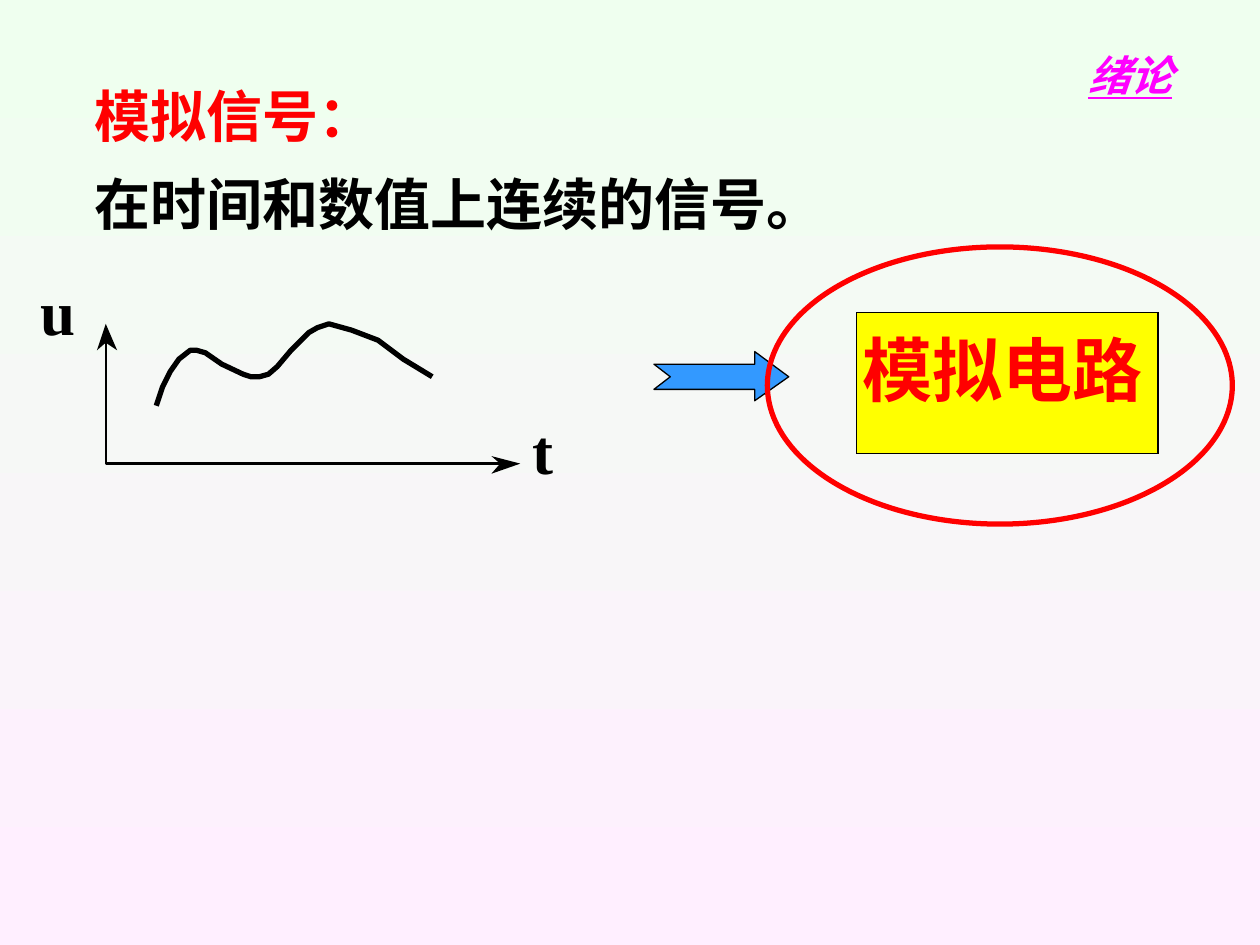
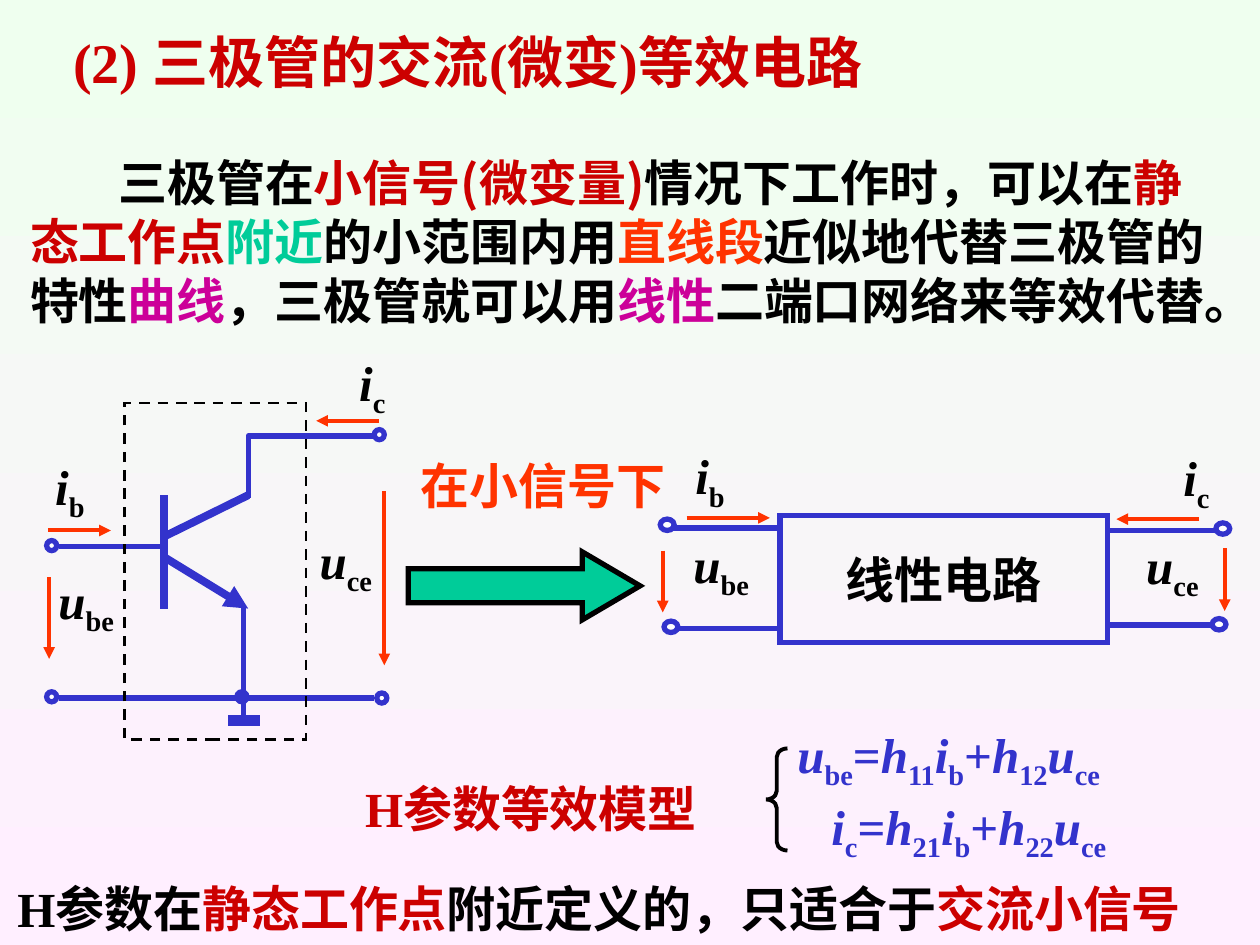
from dataclasses import dataclass
from typing import Optional

from lxml.etree import SubElement
from pptx import Presentation
from pptx.dml.color import RGBColor
from pptx.enum.dml import MSO_LINE
from pptx.enum.shapes import MSO_CONNECTOR, MSO_SHAPE
from pptx.enum.text import MSO_ANCHOR, MSO_AUTO_SIZE, PP_ALIGN
from pptx.oxml.ns import qn
from pptx.shapes.autoshape import Shape
from pptx.slide import Slide
from pptx.util import Inches, Pt


@dataclass(frozen=True)
class Theme:
    top: str = "EFFFEF"
    base: str = "FFEFFF"
    black: str = "000000"
    white: str = "FFFFFF"
    red: str = "FF0000"
    crimson: str = "CC0000"
    orange: str = "FF3300"
    violet: str = "CC0099"
    magenta: str = "FF00FF"
    blue: str = "3333CC"
    sky: str = "3399FF"
    green: str = "00CC99"
    yellow: str = "FFFF00"
    latin: str = "Times New Roman"
    asian: str = "Noto Sans CJK SC"
    small: int = 24
    text: int = 28
    title: int = 32
    axis: int = 36
    large: int = 40


T = Theme()
Point = tuple[float, float]
Box = tuple[float, float, float, float]


@dataclass(frozen=True)
class Run:
    text: str
    color: Optional[str] = None
    slant: bool = False
    sub: bool = False


@dataclass(frozen=True)
class Label:
    box: Box
    paras: tuple[tuple[Run, ...], ...]
    color: str = T.black
    size: int = T.text
    font: str = T.latin
    align: PP_ALIGN = PP_ALIGN.LEFT
    middle: bool = False
    wrap: bool = True
    grow: bool = True
    spacing: float = 1.0
    before: int = 0
    indent: float = 0
    under: bool = False


@dataclass(frozen=True)
class Wire:
    start: Point
    end: Point
    color: str = T.blue
    width: float = 3
    arrow: bool = False


@dataclass(frozen=True)
class Look:
    fill: Optional[str] = None
    line: Optional[str] = None
    width: float = 3


def rgb(code: str) -> RGBColor:
    return RGBColor.from_string(code)


def inch(values: tuple) -> list:
    return [Inches(v) for v in values]


def plain(text: str) -> tuple[tuple[Run, ...], ...]:
    return ((Run(text),),)


def math(tokens: str) -> tuple[tuple[Run, ...], ...]:
    """Variables slant, operators stand upright, other tokens are subscripts."""
    return (tuple(Run(t, slant=t in "uih", sub=t not in "uih=+")
                  for t in tokens.split()),)


def write(shape: Shape, label: Label) -> None:
    frame = shape.text_frame
    frame.word_wrap = label.wrap
    frame.vertical_anchor = MSO_ANCHOR.MIDDLE if label.middle else MSO_ANCHOR.TOP
    frame.auto_size = (MSO_AUTO_SIZE.SHAPE_TO_FIT_TEXT if label.grow
                       else MSO_AUTO_SIZE.NONE)
    for index, runs in enumerate(label.paras):
        para = frame.add_paragraph() if index else frame.paragraphs[0]
        para.alignment = label.align
        para.line_spacing = label.spacing
        if index:
            para.space_before = Pt(label.before)
        if label.indent:
            para._p.get_or_add_pPr().set("indent", str(Inches(label.indent)))
        font = para.font
        font.name, font.size, font.bold = label.font, Pt(label.size), True
        font.color.rgb = rgb(label.color)
        if label.under:
            font.italic = font.underline = True
        props = para._p.pPr.find(qn("a:defRPr"))
        SubElement(props, qn("a:ea"), typeface=T.asian)
        for part in runs:
            run = para.add_run()
            run.text = part.text
            if part.color:
                run.font.color.rgb = rgb(part.color)
            if part.slant:
                run.font.italic = True
            if part.sub:
                run._r.get_or_add_rPr().set("baseline", "-25000")


def add_label(slide: Slide, label: Label) -> None:
    write(slide.shapes.add_textbox(*inch(label.box)), label)


def add_sign(slide: Slide, box: Box, tokens: str) -> None:
    """Place a circuit quantity such as u with subscript be."""
    add_label(slide, Label(box, math(tokens), align=PP_ALIGN.CENTER,
                           middle=True, wrap=False))


def style(shape: Shape, look: Look) -> Shape:
    shape.shadow.inherit = False
    if look.fill:
        shape.fill.solid()
        shape.fill.fore_color.rgb = rgb(look.fill)
    else:
        shape.fill.background()
    if look.line:
        shape.line.color.rgb = rgb(look.line)
        shape.line.width = Pt(look.width)
    else:
        shape.line.fill.background()
    return shape


def add_form(slide: Slide, kind: MSO_SHAPE, box: Box, look: Look) -> Shape:
    """Draw a preset shape with sharp corners."""
    shape = style(slide.shapes.add_shape(kind, *inch(box)), look)
    SubElement(shape.line._get_or_add_ln(), qn("a:miter"), lim="800000")
    return shape


def add_path(slide: Slide, points: list[Point], look: Look,
             close: bool = False) -> None:
    first, *rest = [tuple(inch(p)) for p in points]
    pen = slide.shapes.build_freeform(*first)
    pen.add_line_segments(rest, close=close)
    style(pen.convert_to_shape(), look)


def add_wire(slide: Slide, wire: Wire) -> None:
    line = slide.shapes.add_connector(MSO_CONNECTOR.STRAIGHT,
                                      *inch(wire.start + wire.end))
    line.line.color.rgb = rgb(wire.color)
    line.line.width = Pt(wire.width)
    if wire.arrow:
        SubElement(line.line._get_or_add_ln(), qn("a:tailEnd"), type="triangle")
    SubElement(line._element.spPr, qn("a:effectLst"))


def add_flow(slide: Slide, start: Point, end: Point) -> None:
    """Draw the arrow of a current or a voltage."""
    add_wire(slide, Wire(start, end, T.orange, 2.25, True))


def add_node(slide: Slide, spot: Point, size: Point, fill: str = T.white) -> None:
    add_form(slide, MSO_SHAPE.OVAL, spot + size, Look(fill, T.blue))


def new_slide(deck: Presentation) -> Slide:
    slide = deck.slides.add_slide(deck.slide_layouts[6])
    fill = slide.background.fill
    fill.gradient()
    fill.gradient_angle = 270
    for stop, color, place in zip(fill.gradient_stops, (T.top, T.base), (0, 1)):
        stop.color.rgb = rgb(color)
        stop.position = place
    return slide


def draw_signal(slide: Slide) -> None:
    add_label(slide, Label((8.54, 0.21, 1.19, 0.77), plain("绪论"), T.magenta,
                           T.small, middle=True, grow=False, under=True))
    add_label(slide, Label((0.65, 0.6, 6.69, 1.34),
                           ((Run("模拟信号：", T.red),),
                            (Run("在时间和数值上连续的信号。"),)),
                           size=T.title, before=12))
    curve = [(1.24, 3.22), (1.29, 3.07), (1.35, 2.95), (1.42, 2.85), (1.51, 2.78),
             (1.56, 2.78), (1.63, 2.8), (1.76, 2.89), (1.93, 2.97), (1.99, 2.99),
             (2.06, 2.99), (2.13, 2.97), (2.2, 2.91), (2.31, 2.78), (2.45, 2.64),
             (2.52, 2.6), (2.61, 2.57), (2.79, 2.62), (3, 2.7), (3.2, 2.85),
             (3.43, 2.99)]
    add_path(slide, curve, Look(line=T.black))
    add_path(slide, [(0.84, 2.68), (0.84, 3.68), (4.02, 3.68)],
             Look(line=T.black, width=1.5))
    for tip in ([(0.93, 2.78), (0.84, 2.57), (0.77, 2.78), (0.84, 2.72)],
                [(3.9, 3.76), (4.13, 3.68), (3.9, 3.62), (3.97, 3.68)]):
        add_path(slide, tip, Look(T.black), close=True)
    for name, box in (("t", (4.13, 3.48, 0.68, 0.4)), ("u", (0.22, 2.37, 0.96, 0.4))):
        add_label(slide, Label(box, plain(name), size=T.axis, spacing=0.5))
    add_form(slide, MSO_SHAPE.RECTANGLE, (6.8, 2.48, 2.39, 1.12),
             Look(T.yellow, T.black, 0.75))
    add_label(slide, Label((6.75, 2.83, 2.55, 0.44), plain("模拟电路"), T.red,
                           T.large, spacing=0.5))
    arrow = [(5.19, 2.89), (5.99, 2.89), (5.99, 2.79), (6.26, 2.99),
             (5.99, 3.18), (5.99, 3.09), (5.19, 3.09), (5.32, 2.99)]
    add_path(slide, arrow, Look(T.sky, T.black, 0.75), close=True)
    add_form(slide, MSO_SHAPE.OVAL, (6.09, 1.96, 3.69, 2.2), Look(line=T.red))


def draw_diode(slide: Slide) -> None:
    """Draw the transistor with its terminals, currents and voltages."""
    for wire in (Wire((1.3, 3.93), (1.3, 4.83), width=4.5),
                 Wire((1.3, 4.42), (1.97, 4.83), width=4.5, arrow=True),
                 Wire((1.3, 4.26), (1.97, 3.93), width=4.5),
                 Wire((1.3, 4.34), (0.47, 4.34)),
                 Wire((0.47, 5.54), (2.97, 5.54)),
                 Wire((1.81, 5.72), (2.06, 5.72), width=6),
                 Wire((1.93, 4.81), (1.93, 5.69))):
        add_wire(slide, wire)
    add_path(slide, [(1.97, 3.95), (1.97, 3.46), (2.97, 3.46)], Look(line=T.blue))
    for spot in ((0.37, 4.29), (2.99, 5.5), (2.97, 3.41), (0.37, 5.49)):
        add_node(slide, spot, (0.08, 0.08))
    add_node(slide, (1.88, 5.49), (0.08, 0.08), T.blue)
    for start, end in (((0.39, 4.58), (0.39, 5.23)), ((3.05, 3.9), (3.05, 5.28)),
                       ((0.38, 4.21), (0.88, 4.21)), ((3.01, 3.34), (2.51, 3.34))):
        add_flow(slide, start, end)
    for box, tokens in (((2.57, 2.75, 0.77, 0.63), "i c"),
                        ((2.41, 4.16, 0.67, 0.63), "u ce"),
                        ((0.35, 4.48, 0.67, 0.63), "u be"),
                        ((0.34, 3.57, 0.43, 0.63), "i b")):
        add_sign(slide, box, tokens)
    frame = add_form(slide, MSO_SHAPE.RECTANGLE, (0.99, 3.2, 1.44, 2.67),
                     Look(line=T.black, width=1.5))
    frame.line.dash_style = MSO_LINE.DASH


def draw_port(slide: Slide) -> None:
    """Draw the linear two-port that stands in for the transistor."""
    box = (6.19, 4.09, 2.6, 1.01)
    block = add_form(slide, MSO_SHAPE.RECTANGLE, box, Look(line=T.blue))
    write(block, Label(box, plain("线性电路"), align=PP_ALIGN.CENTER,
                       middle=True, wrap=False, grow=False))
    for x, y in ((5.34, 4.19), (5.34, 4.99), (8.79, 4.21), (8.81, 4.96)):
        add_wire(slide, Wire((x, y), (x + 0.85, y)))
    for spot in ((5.24, 4.12), (5.27, 4.93), (9.62, 4.91), (9.65, 4.15)):
        add_node(slide, spot, (0.11, 0.09))
    for start, end in (((5.26, 4.37), (5.26, 4.86)), ((9.72, 4.35), (9.72, 4.85)),
                       ((5.45, 4.11), (6.11, 4.11)), ((9.52, 4.12), (8.86, 4.12))):
        add_flow(slide, start, end)
    for box, tokens in (((5.31, 4.19, 0.83, 0.63), "u be"),
                        ((8.97, 4.2, 0.67, 0.63), "u ce"),
                        ((5.42, 3.49, 0.43, 0.63), "i b"),
                        ((8.99, 3.5, 1.01, 0.63), "i c")):
        add_sign(slide, box, tokens)


def draw_model(slide: Slide) -> None:
    story = (Run("三极管在"), Run("小信号(微变量)", T.crimson),
             Run("情况下工作时，可以在"), Run("静态工作点", T.crimson),
             Run("附近", T.green), Run("的小范围内用"), Run("直线段", T.orange),
             Run("近似地代替三极管的特性"), Run("曲线", T.violet),
             Run("，三极管就可以用"), Run("线性", T.violet),
             Run("二端口网络来等效代替。"))
    add_label(slide, Label((0.14, 0.93, 9.71, 1.97), (story,), font=T.asian,
                           middle=True, indent=0.7))
    add_label(slide, Label((0.17, 0.17, 7.09, 0.64),
                           plain("(2) 三极管的交流(微变)等效电路"), T.crimson,
                           T.title, align=PP_ALIGN.CENTER))
    draw_diode(slide)
    for box, tokens in (((6.23, 5.7, 3.1, 0.63), "u be = h 11 i b + h 12 u ce"),
                        ((6.5, 6.27, 3.05, 0.63), "i c = h 21 i b + h 22 u ce")):
        add_label(slide, Label(box, math(tokens), T.blue))
    brace = add_form(slide, MSO_SHAPE.LEFT_BRACE, (6.08, 5.94, 0.17, 0.81),
                     Look(line=T.black, width=2.25))
    brace.adjustments[0] = 0.4
    draw_port(slide)
    add_label(slide, Label((3.24, 3.57, 2.59, 0.57), plain("在小信号下"), T.orange))
    arrow = add_form(slide, MSO_SHAPE.RIGHT_ARROW, (3.24, 4.38, 1.84, 0.54),
                     Look(T.green, T.black))
    arrow.adjustments[1] = 0.85
    add_label(slide, Label((2.8, 6.13, 3.17, 0.57), plain("H参数等效模型"), T.crimson))
    note = (Run("H参数在"), Run("静态工作点", T.crimson),
            Run("附近定义的，只适合于"), Run("交流小信号", T.crimson))
    add_label(slide, Label((0.04, 6.92, 9.7, 0.57), (note,)))


def main() -> None:
    deck = Presentation()
    deck.slide_width, deck.slide_height = Inches(10), Inches(7.5)
    for draw in (draw_signal, draw_model):
        draw(new_slide(deck))
    deck.save("out.pptx")


if __name__ == "__main__":
    main()
